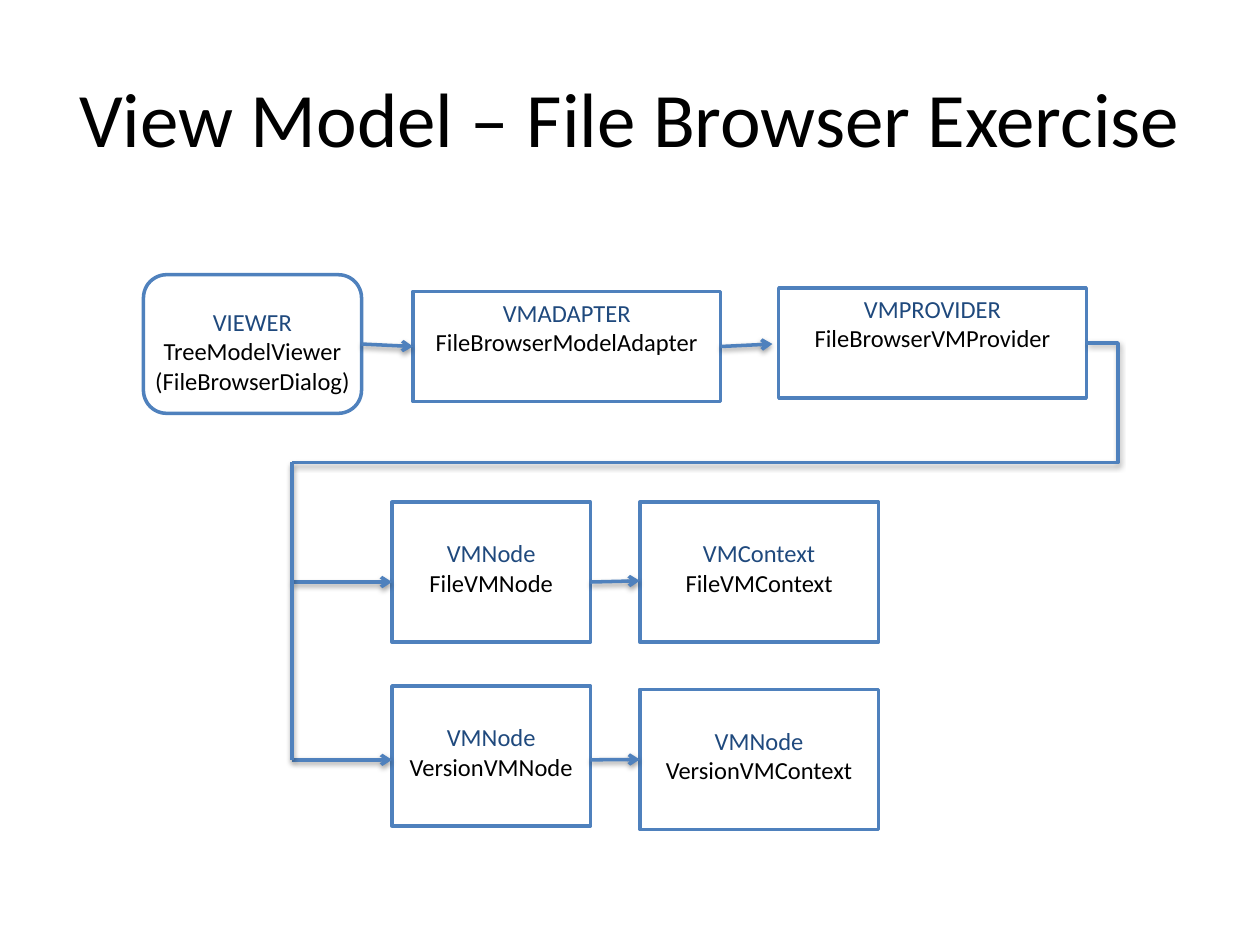
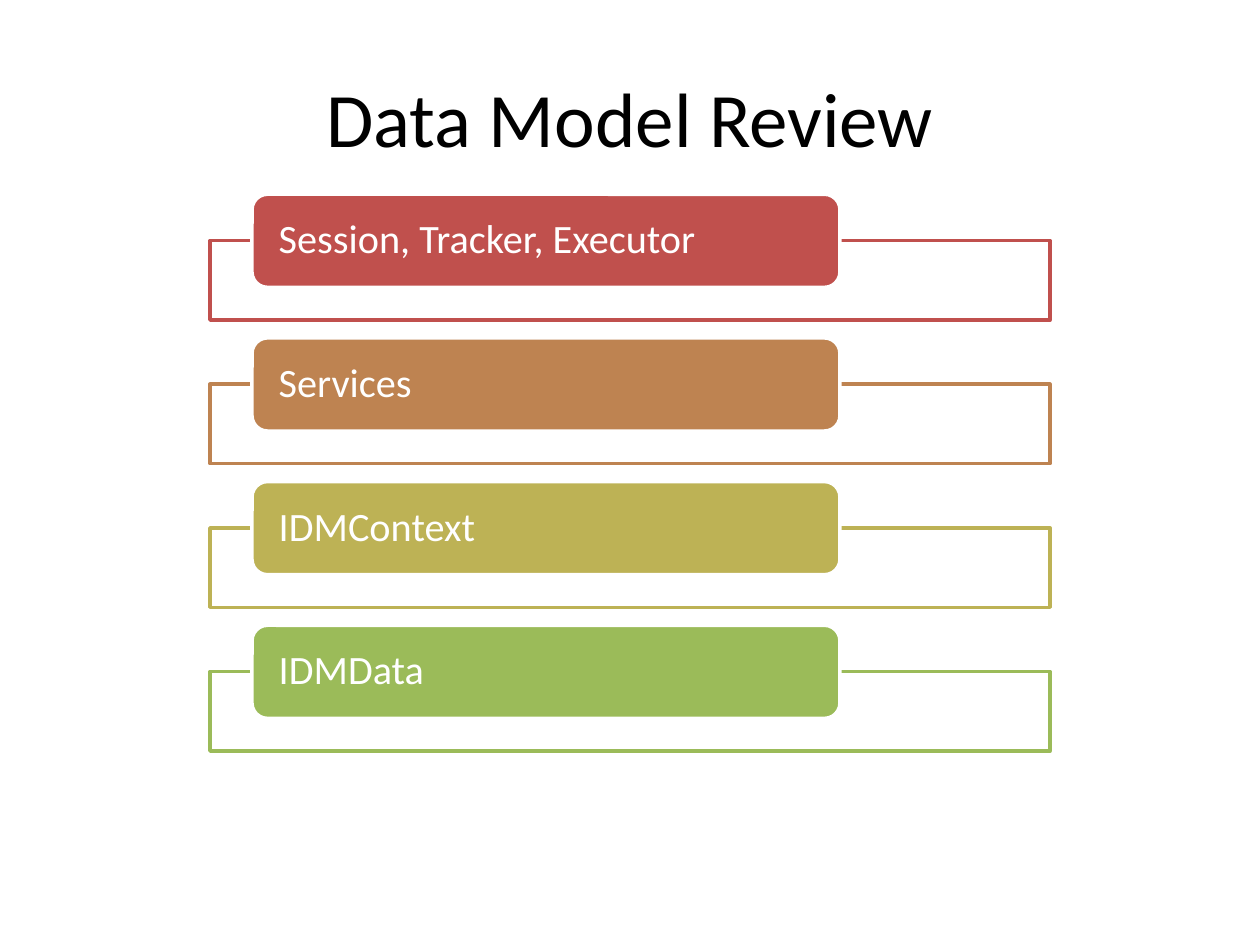
from lxml.etree import SubElement
from pptx import Presentation
from pptx.dml.color import RGBColor
from pptx.enum.shapes import MSO_CONNECTOR, MSO_SHAPE
from pptx.enum.text import MSO_ANCHOR, PP_ALIGN
from pptx.oxml.ns import qn
from pptx.util import Pt

FONT = "Calibri"
BLACK, WHITE, BLUE, NAVY = "000000", "FFFFFF", "4F81BD", "1F497D"
RECT, ROUNDED = MSO_SHAPE.RECTANGLE, MSO_SHAPE.ROUNDED_RECTANGLE
LINE_WIDTH = 2
RIGHT_SIDE, LEFT_SIDE = 3, 1

# name: (outline, left, top, width, height, space above text, lines)
BOXES = {
    "viewer": (ROUNDED, 82, 157, 124.6, 79.2, 14.4,
               ["VIEWER", "TreeModelViewer", "(FileBrowserDialog)"]),
    "adapter": (RECT, 236, 166.5, 175.8, 63, 3.6,
                ["VMADAPTER", "FileBrowserModelAdapter"]),
    "provider": (RECT, 445, 164.5, 175.8, 63, 3.6,
                 ["VMPROVIDER", "FileBrowserVMProvider"]),
    "file node": (RECT, 224, 287, 113.4, 80, 20.7, ["VMNode", "FileVMNode"]),
    "file context": (RECT, 365.6, 287, 136.4, 80, 20.7,
                     ["VMContext", "FileVMContext"]),
    "version node": (RECT, 224, 392, 113.4, 80, 20.7,
                     ["VMNode", "VersionVMNode"]),
    "version context": (RECT, 365.6, 394, 136.4, 80, 20.7,
                        ["VMNode", "VersionVMContext"]),
}
TRUNK_X, TRUNK_TOP = 167, 264.3
FILE_Y, VERSION_Y = 332.6, 434.2

# (start, end, box joined at the start, box joined at the end)
ARROWS = [
    ((206.6, 196.6), (236, 198), "viewer", "adapter"),
    ((411.8, 198), (441.4, 196.6), "adapter", None),
    ((337.4, FILE_Y), (365.6, FILE_Y - 0.7), None, None),
    ((337.4, VERSION_Y), (365.6, 434), None, "version context"),
    ((TRUNK_X, FILE_Y), (224, FILE_Y), None, None),
    ((TRUNK_X, VERSION_Y), (224, VERSION_Y), None, None),
]

LAYERS = [
    ("Session, Tracker, Executor", "C0504D"),
    ("Services", "BE8351"),
    ("IDMContext", "BDB255"),
    ("IDMData", "9BBB59"),
]
LAYER_TOP, LAYER_STEP = 111, 82.1


def rgb(hex_color):
    return RGBColor.from_string(hex_color)


def style_runs(p, size, color):
    for r in p.runs:
        r.font.name, r.font.size = FONT, Pt(size)
        r.font.color.rgb = rgb(color)


def add_titled_slide(prs, title):
    slide = prs.slides.add_slide(prs.slide_layouts[5])
    sp = slide.shapes.title
    sp.left, sp.top, sp.width, sp.height = Pt(36), Pt(21.6), Pt(648), Pt(90)
    tf = sp.text_frame
    tf.text = title
    tf.vertical_anchor = MSO_ANCHOR.MIDDLE
    tf.paragraphs[0].alignment = PP_ALIGN.CENTER
    style_runs(tf.paragraphs[0], 44, BLACK)
    return slide


def add_panel(slide, outline, left, top, width, height, fill, line):
    sp = slide.shapes.add_shape(outline, Pt(left), Pt(top), Pt(width), Pt(height))
    sp.shadow.inherit = False
    sp.fill.solid()
    sp.fill.fore_color.rgb = rgb(fill)
    sp.line.color.rgb = rgb(line)
    sp.line.width = Pt(LINE_WIDTH)
    return sp


def add_box(slide, outline, left, top, width, height, space_above, lines):
    """Add a box whose first line names its role and the rest its classes."""
    sp = add_panel(slide, outline, left, top, width, height, WHITE, BLUE)
    tf = sp.text_frame
    tf.word_wrap = True
    tf.vertical_anchor = MSO_ANCHOR.TOP
    tf.margin_left = tf.margin_right = 0
    tf.margin_top = Pt(space_above)
    tf.text = "\n".join(lines)
    for i, p in enumerate(tf.paragraphs):
        p.alignment = PP_ALIGN.CENTER
        style_runs(p, 14, BLACK if i else NAVY)
    return sp


def add_link(slide, start, end, kind=MSO_CONNECTOR.STRAIGHT, arrow=False):
    """Add a blue connector with a soft shadow below it."""
    link = slide.shapes.add_connector(kind, *(Pt(v) for v in (*start, *end)))
    link.line.color.rgb = rgb(BLUE)
    link.line.width = Pt(LINE_WIDTH)
    sp_pr = link._element.spPr
    if arrow:
        SubElement(sp_pr.find(qn("a:ln")), qn("a:tailEnd"), type="arrow")
    effects = SubElement(sp_pr, qn("a:effectLst"))
    shadow = SubElement(effects, qn("a:outerShdw"), blurRad=str(Pt(3.1)),
                        dist=str(Pt(1.6)), dir="5400000", rotWithShape="0")
    color = SubElement(shadow, qn("a:srgbClr"), val=BLACK)
    SubElement(color, qn("a:alpha"), val="38000")
    return link


def build_view_model(prs):
    slide = add_titled_slide(prs, "View Model – File Browser Exercise")
    boxes = {name: add_box(slide, *box) for name, box in BOXES.items()}
    for start, end, source, target in ARROWS:
        link = add_link(slide, start, end, arrow=True)
        if source:
            link.begin_connect(boxes[source], RIGHT_SIDE)
        if target:
            link.end_connect(boxes[target], LEFT_SIDE)

    bend = add_link(slide, (620.8, 196), (TRUNK_X, TRUNK_TOP), MSO_CONNECTOR.ELBOW)
    bend.begin_connect(boxes["provider"], RIGHT_SIDE)
    guides = bend._element.spPr.find(qn("a:prstGeom")).get_or_add_avLst()
    SubElement(guides, qn("a:gd"), name="adj1", fmla="val -4000")
    add_link(slide, (TRUNK_X, TRUNK_TOP), (TRUNK_X, VERSION_Y))


def build_data_model(prs):
    slide = add_titled_slide(prs, "Data Model Review")
    for i, (label, color) in enumerate(LAYERS):
        top = LAYER_TOP + i * LAYER_STEP
        add_panel(slide, RECT, 120, top + 26.5, 480, 45.4, WHITE, color)
        sp = add_panel(slide, ROUNDED, 144, top, 336, 53.2, color, WHITE)
        tf = sp.text_frame
        tf.word_wrap = True
        tf.vertical_anchor = MSO_ANCHOR.MIDDLE
        tf.margin_left = tf.margin_right = Pt(12.7)
        tf.margin_top = tf.margin_bottom = 0
        tf.text = label
        p = tf.paragraphs[0]
        p.alignment = PP_ALIGN.LEFT
        p.line_spacing = 0.9
        style_runs(p, 23, WHITE)


def main():
    prs = Presentation()
    prs.slide_width, prs.slide_height = Pt(720), Pt(540)
    build_view_model(prs)
    build_data_model(prs)
    prs.save("out.pptx")


if __name__ == "__main__":
    main()
